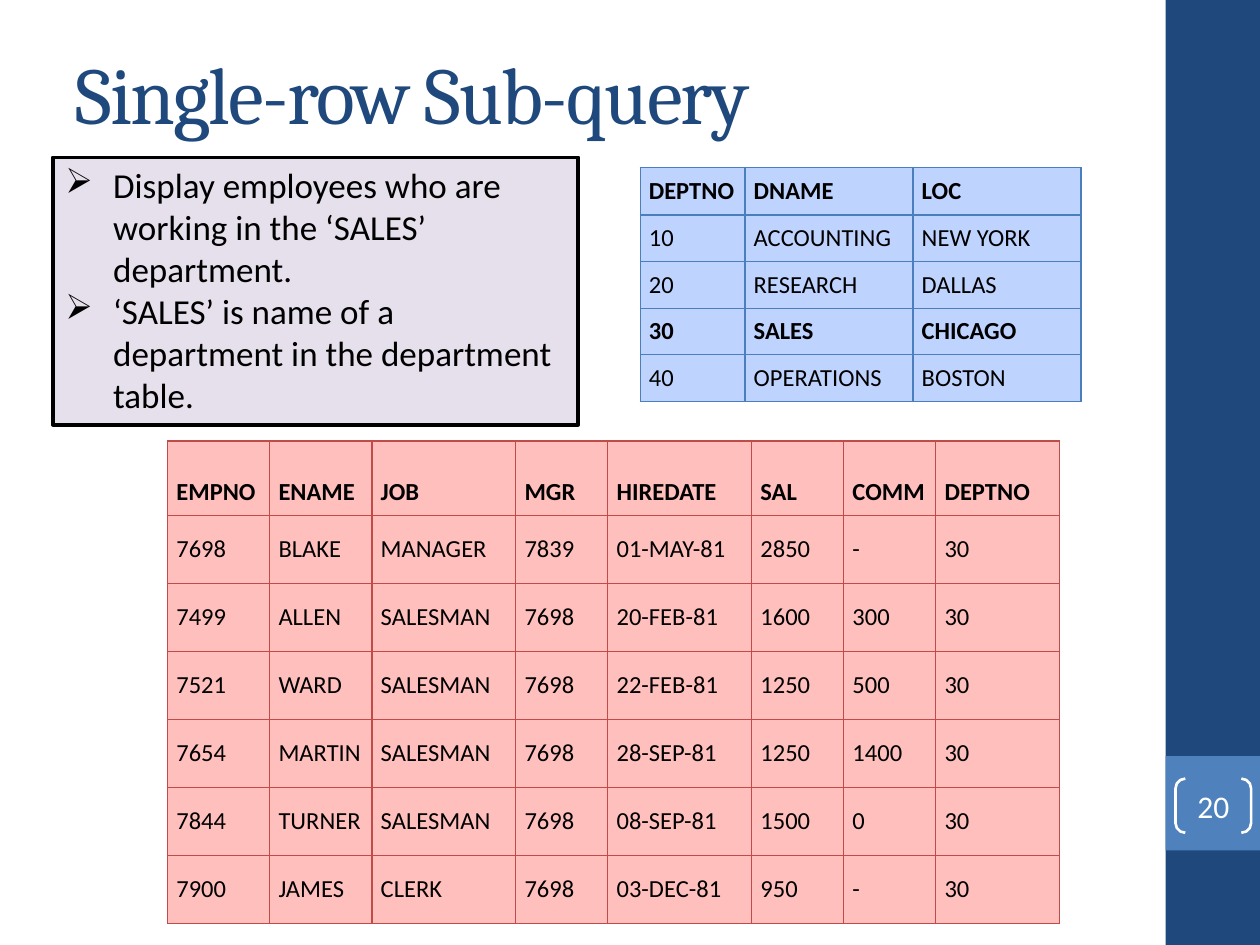
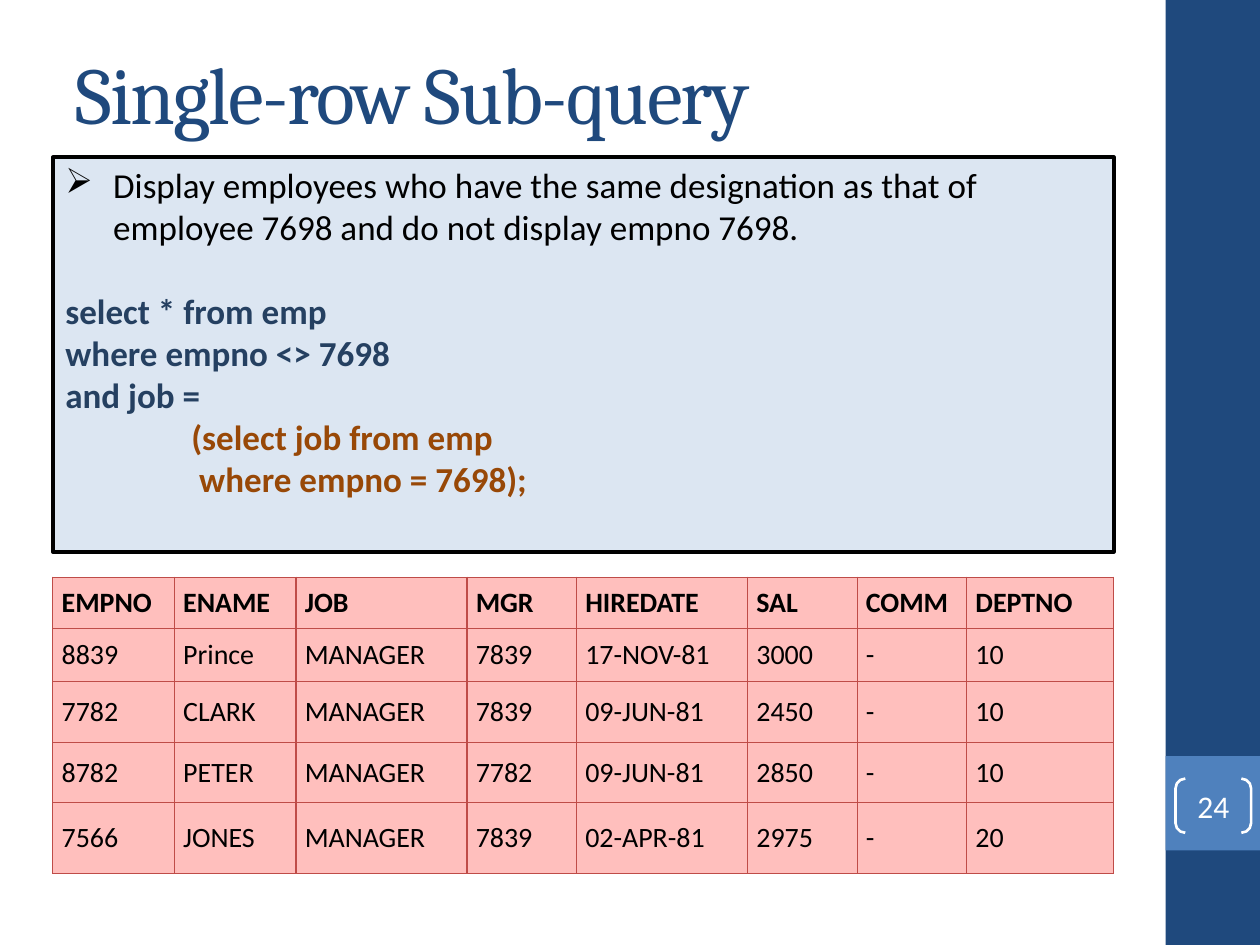
"""Build two slides on single-row SQL sub-queries."""
import dataclasses

import lxml.etree
import pptx
import pptx.dml.color
import pptx.enum.shapes
import pptx.enum.text
import pptx.oxml.ns
import pptx.util

Inches = pptx.util.Inches
Pt = pptx.util.Pt
RGB = pptx.dml.color.RGBColor.from_string
qn = pptx.oxml.ns.qn
Shape = pptx.enum.shapes.MSO_SHAPE
Anchor = pptx.enum.text.MSO_ANCHOR
Align = pptx.enum.text.PP_ALIGN


@dataclasses.dataclass(frozen=True)
class Theme:
    navy: str = "1F497D"
    blue: str = "4F81BD"
    white: str = "FFFFFF"
    black: str = "000000"
    lilac: str = "E6E0EC"
    pale_blue: str = "DCE6F2"
    outer_query: str = "254061"
    inner_query: str = "984807"
    department: tuple = ("BFD3FF", "4B7EBC")
    employee: tuple = ("FFBFBD", "BF4C48")
    title_font: str = "Cambria"
    body_font: str = "Calibri"
    title_size: int = 46
    body_size: int = 20
    number_size: int = 18


theme = Theme()


def add_box(slide, kind, place, fill=None, line=None, width=1):
    """Add a preset shape without a shadow."""
    box = slide.shapes.add_shape(kind, *map(Inches, place))
    box.shadow.inherit = False
    if fill:
        box.fill.solid()
        box.fill.fore_color.rgb = RGB(fill)
    else:
        box.fill.background()
    if line:
        box.line.color.rgb = RGB(line)
        box.line.width = Pt(width)
    else:
        box.line.fill.background()
    return box


def style(para, size, color, bold=False, font=theme.body_font):
    """Set the font of every run in a paragraph."""
    for span in para.runs:
        span.font.name = font
        span.font.size = Pt(size)
        span.font.bold = bold
        span.font.color.rgb = RGB(color)


employee_heads = ["EMPNO", "ENAME", "JOB", "MGR", "HIREDATE", "SAL", "COMM", "DEPTNO"]
employee_widths = [0.81, 0.81, 1.14, 0.73, 1.14, 0.73, 0.73, 0.98]

departments = {
    "place": (5.08, 1.33, 3.5, 1.85), "colors": theme.department, "size": 14,
    "widths": [0.83, 1.33, 1.33], "heights": [0.37] * 5, "bold_rows": (0, 3),
    "rows": [
        ["DEPTNO", "DNAME", "LOC"],
        ["10", "ACCOUNTING", "NEW YORK"],
        ["20", "RESEARCH", "DALLAS"],
        ["30", "SALES", "CHICAGO"],
        ["40", "OPERATIONS", "BOSTON"],
    ],
}
sales_staff = {
    "place": (1.33, 3.5, 7.08, 3.83), "colors": theme.employee, "size": 14,
    "widths": employee_widths, "heights": [0.59] + [0.54] * 6, "bold_rows": (0,),
    "rows": [
        employee_heads,
        ["7698", "BLAKE", "MANAGER", "7839", "01-MAY-81", "2850", "-", "30"],
        ["7499", "ALLEN", "SALESMAN", "7698", "20-FEB-81", "1600", "300", "30"],
        ["7521", "WARD", "SALESMAN", "7698", "22-FEB-81", "1250", "500", "30"],
        ["7654", "MARTIN", "SALESMAN", "7698", "28-SEP-81", "1250", "1400", "30"],
        ["7844", "TURNER", "SALESMAN", "7698", "08-SEP-81", "1500", "0", "30"],
        ["7900", "JAMES", "CLERK", "7698", "03-DEC-81", "950", "-", "30"],
    ],
}
managers = {
    "place": (0.42, 4.58, 8.42, 2.35), "colors": theme.employee, "size": 16,
    "widths": employee_widths, "heights": [0.41, 0.42, 0.48, 0.48, 0.56], "bold_rows": (0,),
    "rows": [
        employee_heads,
        ["8839", "Prince", "MANAGER", "7839", "17-NOV-81", "3000", "-", "10"],
        ["7782", "CLARK", "MANAGER", "7839", "09-JUN-81", "2450", "-", "10"],
        ["8782", "PETER", "MANAGER", "7782", "09-JUN-81", "2850", "-", "10"],
        ["7566", "JONES", "MANAGER", "7839", "02-APR-81", "2975", "-", "20"],
    ],
}
pages = [
    {
        "number": "20", "panel": (0.42, 1.25, 4.17, 2.12), "fill": theme.lilac,
        "lines": [
            ("bullet", "Display employees who are working in the ‘SALES’ department."),
            ("bullet", "‘SALES’ is name of a department in the department table."),
        ],
        "tables": [departments, sales_staff],
    },
    {
        "number": "24", "panel": (0.42, 1.25, 8.42, 3.13), "fill": theme.pale_blue,
        "lines": [
            ("bullet", "Display employees who have the same designation as that of "
                       "employee 7698 and do not display empno 7698."),
            ("first", "select * from emp"),
            ("outer", "where empno <> 7698"),
            ("outer", "and job ="),
            ("inner", "(select job from emp"),
            ("inner", " where empno = 7698);"),
        ],
        "tables": [managers],
    },
]
line_colors = {"bullet": theme.black, "first": theme.outer_query,
               "outer": theme.outer_query, "inner": theme.inner_query}

deck = pptx.Presentation()
deck.slide_width, deck.slide_height = Inches(10), Inches(7.5)
title_only = deck.slide_layouts.get_by_name("Title Only")

for page in pages:
    slide = deck.slides.add_slide(title_only)
    add_box(slide, Shape.RECTANGLE, (9.25, 0, 0.75, 7.5), theme.navy)
    add_box(slide, Shape.RECTANGLE, (9.25, 6, 0.75, 0.75), theme.blue)
    number = add_box(slide, Shape.DOUBLE_BRACKET, (9.33, 6.18, 0.6, 0.43), None, theme.white, 1.5)
    number.adjustments[0] = 0.18
    frame = number.text_frame
    frame.margin_left = frame.margin_right = frame.margin_top = frame.margin_bottom = 0
    frame.vertical_anchor = Anchor.MIDDLE
    frame.text = page["number"]
    frame.paragraphs[0].alignment = Align.CENTER
    style(frame.paragraphs[0], theme.number_size, theme.white)

    title = slide.shapes.title
    title.left, title.top, title.width, title.height = map(Inches, (0.5, 0.3, 8.33, 0.87))
    frame = title.text_frame
    frame.text = "Single-row Sub-query"
    frame.auto_size = pptx.enum.text.MSO_AUTO_SIZE.NONE
    frame.vertical_anchor = Anchor.MIDDLE
    para = frame.paragraphs[0]
    para.alignment = Align.LEFT
    style(para, theme.title_size, theme.navy, font=theme.title_font)
    para.runs[0].font._element.set("spc", "-100")

    panel = add_box(slide, Shape.RECTANGLE, page["panel"], page["fill"], theme.black, 2.25)
    frame = panel.text_frame
    frame.word_wrap = True
    frame.vertical_anchor = Anchor.TOP
    frame.text = "\n".join(text for role, text in page["lines"])
    for para, (role, text) in zip(frame.paragraphs, page["lines"]):
        para.alignment = Align.LEFT
        properties = para._p.get_or_add_pPr()
        if role == "bullet":
            properties.set("marL", str(Inches(0.38)))
            properties.set("indent", str(Inches(-0.38)))
            lxml.etree.SubElement(properties, qn("a:buChar"), char="➢")
        elif role == "inner":
            properties.set("marL", str(Inches(1)))
        elif role == "first":
            para.space_before = Pt(24)
        style(para, theme.body_size, line_colors[role], bold=role != "bullet")

    for data in page["tables"]:
        rows, widths = data["rows"], data["widths"]
        fill, border = data["colors"]
        table = slide.shapes.add_table(len(rows), len(widths), *map(Inches, data["place"])).table
        table.horz_banding = False
        for column, width in zip(table.columns, widths):
            column.width = Inches(width * data["place"][2] / sum(widths))
        for index, (row, height, texts) in enumerate(zip(table.rows, data["heights"], rows)):
            row.height = Inches(height)
            for cell, text in zip(row.cells, texts):
                cell.text = text
                cell.margin_left = cell.margin_right = Inches(0.07)
                cell.margin_top = cell.margin_bottom = Inches(0.03 if index else 0.07)
                cell.vertical_anchor = Anchor.MIDDLE if index else Anchor.BOTTOM
                properties = cell._tc.get_or_add_tcPr()
                for side in ("lnL", "lnR", "lnT", "lnB"):
                    edge = lxml.etree.SubElement(properties, qn("a:" + side), w=str(Pt(0.75)))
                    solid = lxml.etree.SubElement(edge, qn("a:solidFill"))
                    lxml.etree.SubElement(solid, qn("a:srgbClr"), val=border)
                cell.fill.solid()
                cell.fill.fore_color.rgb = RGB(fill)
                style(cell.text_frame.paragraphs[0], data["size"], theme.black,
                      bold=index in data["bold_rows"])

deck.save("out.pptx")
